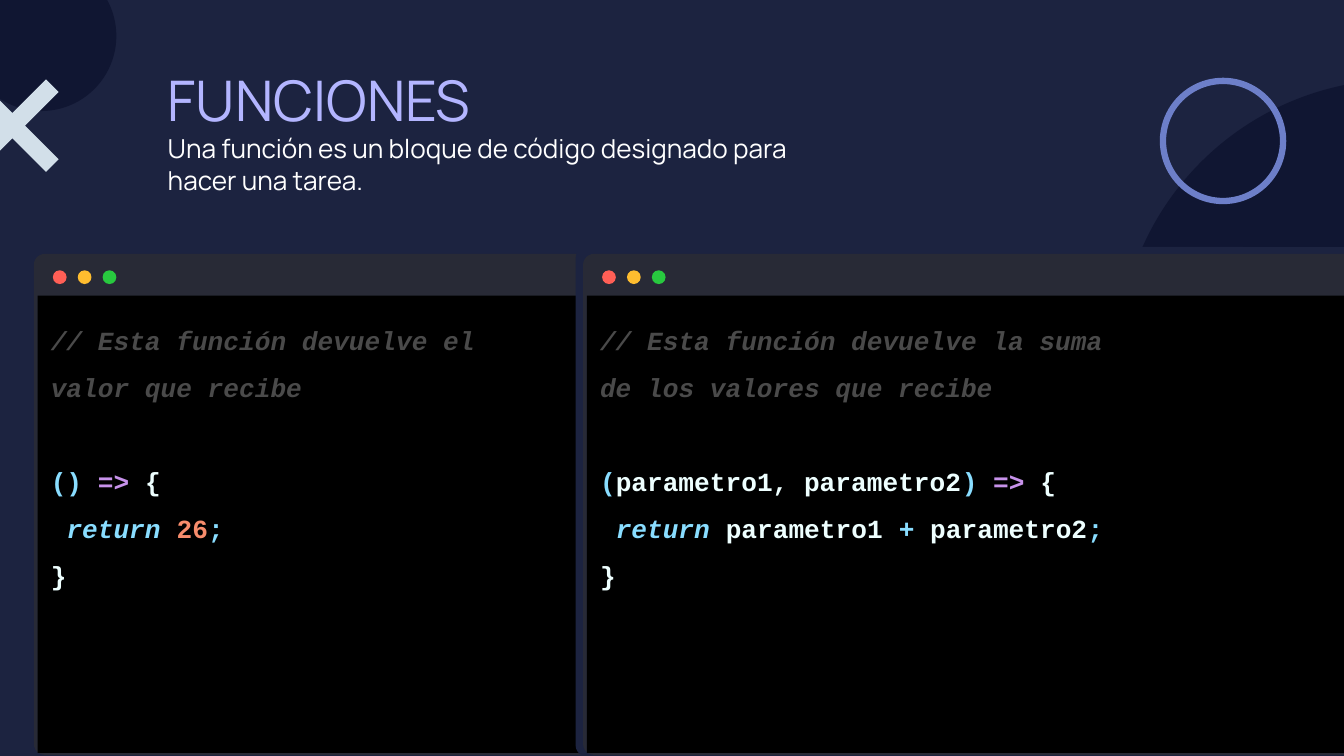
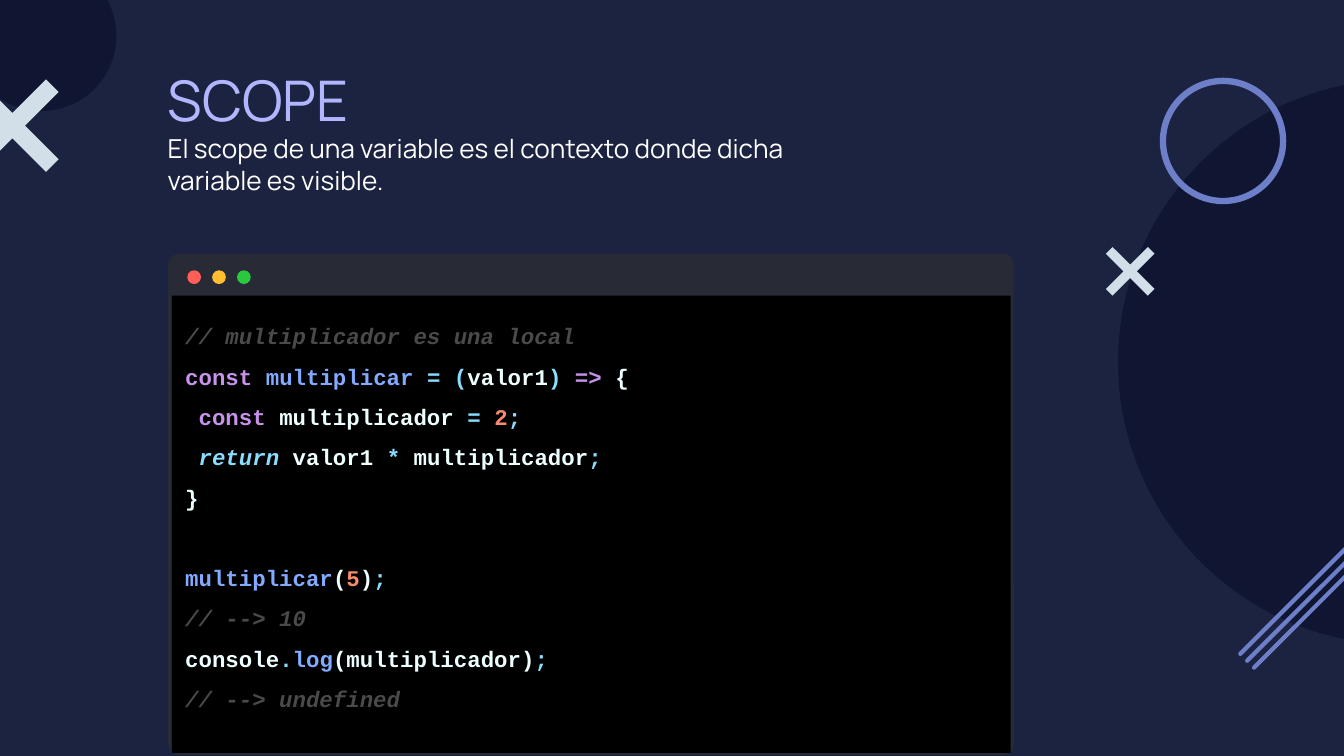
import pptx
import pptx.util
import pptx.dml.color
import pptx.enum.shapes
import pptx.enum.text
import pptx.oxml.ns
from lxml import etree

Cm = pptx.util.Cm
Pt = pptx.util.Pt
KIND = pptx.enum.shapes.MSO_SHAPE

BACK, DARK, PALE, BLUE = "1C2340", "101632", "D2DFE9", "6D7FC9"
LILAC, WHITE, FRAME, BLACK = "B3B5FF", "FFFFFF", "282A36", "000000"
DOTS = ["FF5F56", "FFBD2F", "28C93F"]
HUES = {
    "note": "4A4A4A", "key": "C792EA", "flow": "89DDFF", "sign": "89DDFF",
    "name": "EEFFFF", "call": "82AAFF", "num": "F78C6C",
}
SLANT = {"note", "flow"}
LEAD = 1.5

SLIDES = [
    {
        "head": "FUNCIONES",
        "sub": "Una función es un bloque de código designado para hacer una tarea.",
        "layout": 3, "size": 14, "rim": True, "extras": False,
        "panes": [
            (0.64, [
                [("// Esta función devuelve el", "note")],
                [("valor que recibe", "note")],
                None,
                [("() ", "sign"), ("=>", "key"), (" {", "name")],
                [(" ", "name"), ("return ", "flow"), ("26", "num"), (";", "sign")],
                [("}", "name")],
            ]),
            (11.02, [
                [("// Esta función devuelve la suma", "note")],
                [("de los valores que recibe", "note")],
                None,
                [("(", "sign"), ("parametro1, parametro2", "name"), (") ", "sign"),
                 ("=>", "key"), (" {", "name")],
                [(" ", "name"), ("return", "flow"), (" parametro1 ", "name"),
                 ("+", "sign"), (" parametro2", "name"), (";", "sign")],
                [("}", "name")],
            ]),
        ],
    },
    {
        "head": "SCOPE",
        "sub": "El scope de una variable es el contexto donde dicha variable es visible.",
        "layout": 1, "size": 12, "rim": False, "extras": True,
        "panes": [
            (3.18, [
                [("// multiplicador es una local", "note")],
                [("const ", "key"), ("multiplicar ", "call"), ("= (", "sign"),
                 ("valor1", "name"), (") ", "sign"), ("=>", "key"), (" {", "name")],
                [(" ", "name"), ("const", "key"), (" multiplicador ", "name"),
                 ("= ", "sign"), ("2", "num"), (";", "sign")],
                [(" ", "name"), ("return", "flow"), (" valor1 ", "name"),
                 ("*", "sign"), (" multiplicador", "name"), (";", "sign")],
                [("}", "name")],
                None,
                [("multiplicar", "call"), ("(", "name"), ("5", "num"),
                 (")", "name"), (";", "sign")],
                [("// --> 10", "note")],
                [("console", "name"), (".", "sign"), ("log", "call"),
                 ("(multiplicador)", "name"), (";", "sign")],
                [("// --> undefined", "note")],
            ]),
        ],
    },
]


def tint(hue):
    return pptx.dml.color.RGBColor.from_string(hue)


def paint(shape, hue):
    shape.fill.solid()
    shape.fill.fore_color.rgb = tint(hue)
    shape.line.fill.background()
    shape.shadow.inherit = False


def draw(shapes, kind, x, y, w, h, hue, adj=None):
    shape = shapes.add_shape(kind, Cm(x), Cm(y), Cm(w), Cm(h))
    if adj is not None:
        shape.adjustments[0] = adj
    paint(shape, hue)


def cross(shapes, x, y, size):
    mid, nick = size / 2, size * 0.137
    far = size - nick
    spots = [
        (nick, 0), (0, nick), (mid - nick, mid), (0, far), (nick, size),
        (mid, mid + nick), (far, size), (size, far), (mid + nick, mid),
        (size, nick), (far, 0), (mid, mid - nick),
    ]
    spots = [(Cm(x + a), Cm(y + b)) for a, b in spots]
    pen = shapes.build_freeform(*spots[0])
    pen.add_line_segments(spots[1:], close=True)
    paint(pen.convert_to_shape(), PALE)


def stripe(shapes, x, y, span):
    line = shapes.add_connector(
        pptx.enum.shapes.MSO_CONNECTOR.STRAIGHT,
        Cm(x), Cm(y), Cm(x + span), Cm(y - span))
    line.line.color.rgb = tint(BLUE)
    line.line.width = Pt(2.25)
    line.line._get_or_add_ln().set("cap", "rnd")
    etree.SubElement(line.element.spPr, pptx.oxml.ns.qn("a:effectLst"))


def write(para, text, size, hue, font="Manrope", bold=False, slant=False):
    run = para.add_run()
    run.text = text
    run.font.size = Pt(size)
    run.font.name = font
    run.font.bold = bold
    run.font.italic = slant
    run.font.color.rgb = tint(hue)


def place(shape, x, y, w, h):
    shape.left, shape.top, shape.width, shape.height = Cm(x), Cm(y), Cm(w), Cm(h)
    frame = shape.text_frame
    frame.word_wrap = True
    frame.auto_size = pptx.enum.text.MSO_AUTO_SIZE.NONE
    frame.vertical_anchor = pptx.enum.text.MSO_ANCHOR.TOP
    for side in ("left", "top", "right", "bottom"):
        setattr(frame, "margin_" + side, Cm(0.25))
    return frame


def row(frame, first):
    para = frame.paragraphs[0] if first else frame.add_paragraph()
    para.alignment = pptx.enum.text.PP_ALIGN.LEFT
    para.space_before = Pt(0)
    return para


def title(slide, head, sub):
    frame = place(slide.shapes.title, 2.92, 0.99, 12.34, 2.18)
    write(row(frame, True), head, 30, LILAC)
    write(row(frame, False), sub, 14, WHITE)


def decor(shapes, extras):
    draw(shapes, KIND.OVAL, -0.64, -0.74, 2.84, 2.84, DARK)
    draw(shapes, KIND.OVAL, 21.13, 1.5, 10.69, 10.69, DARK)
    draw(shapes, KIND.DONUT, 21.92, 1.47, 2.39, 2.39, BLUE, 0.05)
    cross(shapes, -0.64, 1.5, 1.75)
    if extras:
        cross(shapes, 20.9, 4.67, 0.92)
        for i in range(3):
            stripe(shapes, 23.44 + i * 0.13, 12.36 + i * 0.13, 2.28)


def pane(slide, body, x, code, size, rim):
    parts = slide.shapes.add_group_shape().shapes
    if rim:
        draw(parts, KIND.ROUNDED_RECTANGLE, x - 0.14, 4.67, 16.26, 9.63, BACK, 0.022)
    draw(parts, KIND.ROUNDED_RECTANGLE, x, 4.8, 15.98, 9.47, FRAME, 0.022)
    for i, hue in enumerate(DOTS):
        draw(parts, KIND.OVAL, x + 0.36 + i * 0.47, 5.11, 0.26, 0.26, hue)
    frame = place(body, x + 0.07, 5.59, 15.85, 8.64)
    body.fill.solid()
    body.fill.fore_color.rgb = tint(BLACK)
    body.element.getparent().append(body.element)
    gap = 0
    for i, line in enumerate(code):
        if line is None:
            gap = size * 1.2 * LEAD
            continue
        para = row(frame, i == 0)
        para.line_spacing = LEAD
        para.space_before = Pt(gap)
        gap = 0
        props = para._p.get_or_add_pPr()
        props.set("marL", "0")
        props.set("indent", "0")
        etree.SubElement(props, pptx.oxml.ns.qn("a:buNone"))
        for text, kind in line:
            write(para, text, size, HUES[kind], font="Courier New",
                  bold=True, slant=kind in SLANT)


def main():
    deck = pptx.Presentation()
    deck.slide_width, deck.slide_height = Cm(25.4), Cm(14.29)
    fill = deck.slide_master.background.fill
    fill.solid()
    fill.fore_color.rgb = tint(BACK)
    for item in SLIDES:
        slide = deck.slides.add_slide(deck.slide_layouts[item["layout"]])
        bodies = list(slide.placeholders)[1:]
        title(slide, item["head"], item["sub"])
        decor(slide.shapes, item["extras"])
        for body, (x, code) in zip(bodies, item["panes"]):
            pane(slide, body, x, code, item["size"], item["rim"])
    deck.save("out.pptx")


if __name__ == "__main__":
    main()
